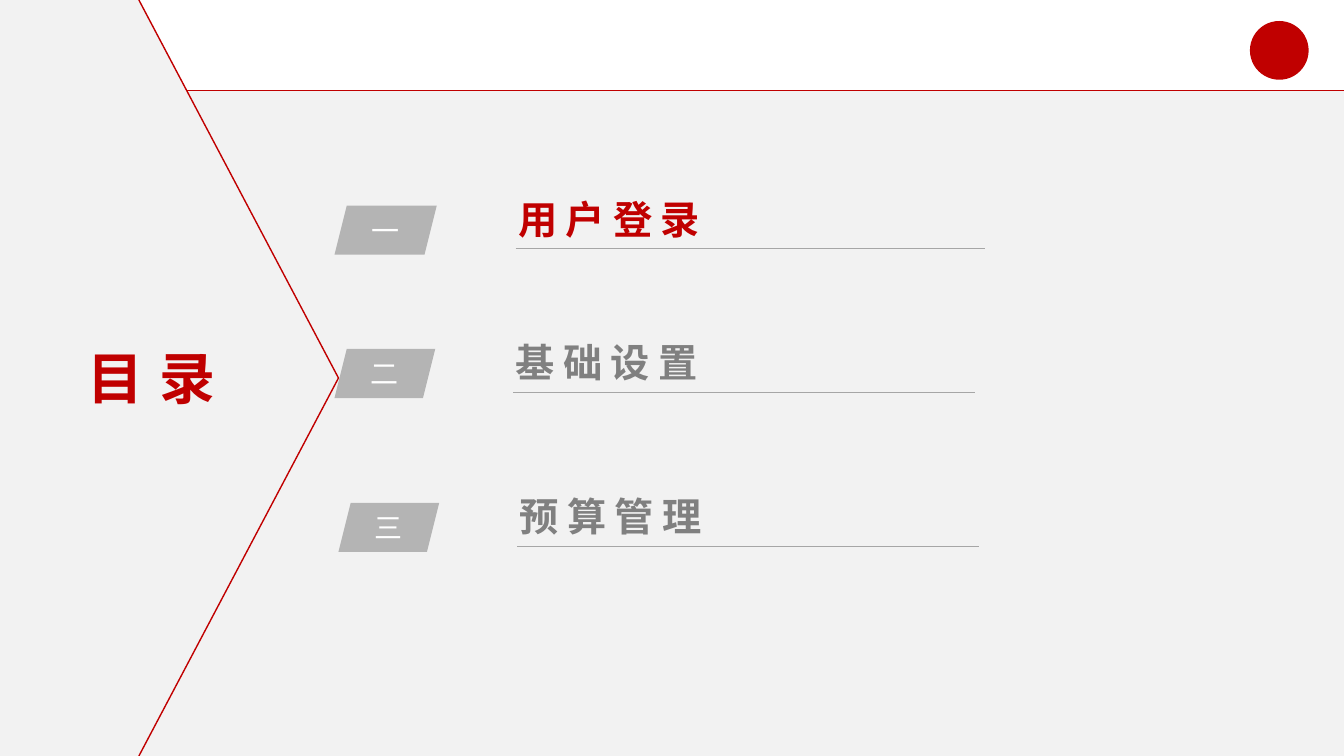
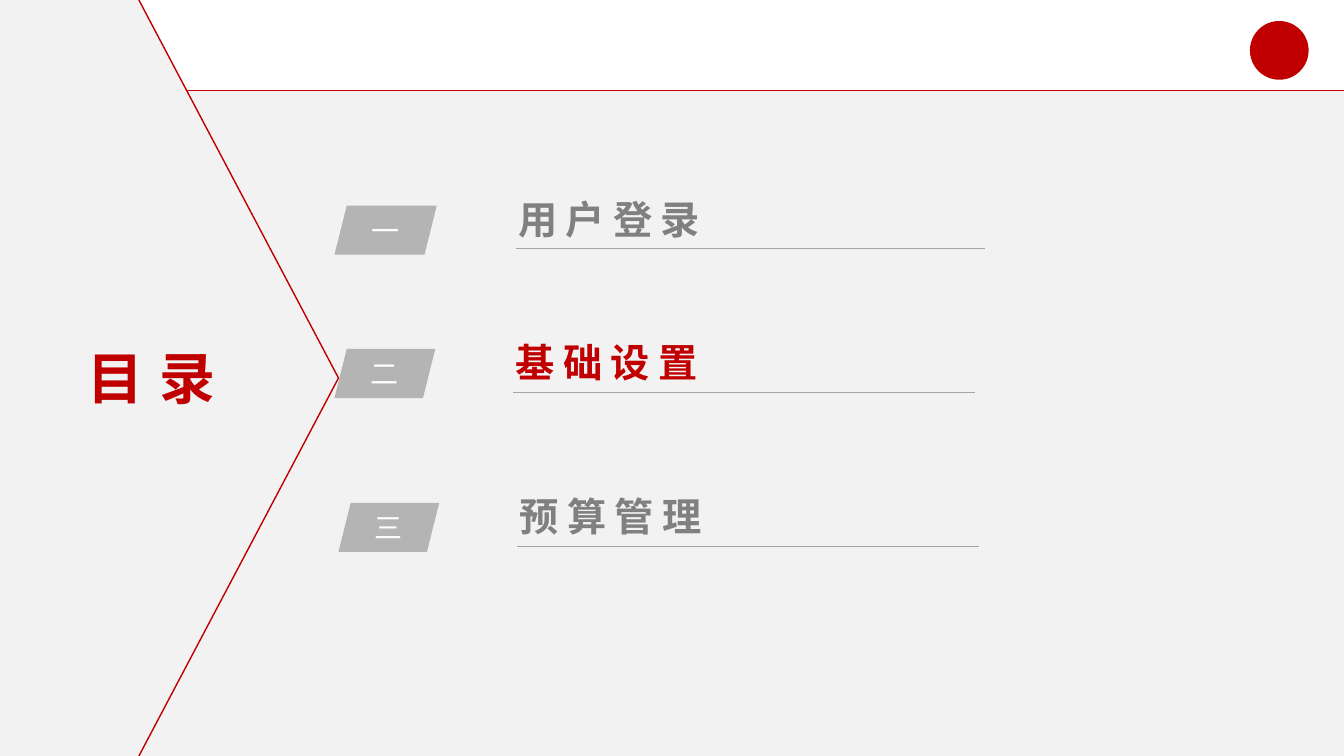
from dataclasses import dataclass

from lxml import etree
from pptx import Presentation
from pptx.dml.color import RGBColor
from pptx.enum.lang import MSO_LANGUAGE_ID
from pptx.enum.shapes import MSO_CONNECTOR, MSO_SHAPE
from pptx.enum.text import MSO_ANCHOR, PP_ALIGN
from pptx.oxml.ns import qn
from pptx.util import Cm, Pt

RED = RGBColor(0xC0, 0x00, 0x00)
PALE = RGBColor(0xF2, 0xF2, 0xF2)
BADGE_GRAY = RGBColor(0xB4, 0xB4, 0xB4)
RULE_GRAY = RGBColor(0xA6, 0xA6, 0xA6)
TEXT_GRAY = RGBColor(0x80, 0x80, 0x80)
WHITE = RGBColor(0xFF, 0xFF, 0xFF)

RECTANGLE = MSO_SHAPE.RECTANGLE
OVAL = MSO_SHAPE.OVAL
PARALLELOGRAM = MSO_SHAPE.PARALLELOGRAM
STRAIGHT = MSO_CONNECTOR.STRAIGHT
CENTER = PP_ALIGN.CENTER
LEFT = PP_ALIGN.LEFT
MIDDLE = MSO_ANCHOR.MIDDLE
CHINESE = MSO_LANGUAGE_ID.SIMPLIFIED_CHINESE

FONT = "Arial"
WIDTH, HEIGHT = 33.87, 19.05
HEADER_HEIGHT = 2.28
PANEL_EDGE, PANEL_TIP = 3.5, 8.53


@dataclass
class Entry:
    """One agenda row; lengths in centimetres, scale stretches it sideways."""
    number: str
    title: str
    left: float
    top: float
    title_width: float
    scale: float = 1.0


ENTRIES = [
    Entry("一", "用户登录", 8.43, 5.18, 21.06, 1.015),
    Entry("二", "基础设置", 8.43, 8.79, 16.89),
    Entry("三", "预算管理", 8.53, 12.67, 16.89),
]


class Deck:
    def __init__(self):
        self.presentation = Presentation()
        self.presentation.slide_width = Cm(WIDTH)
        self.presentation.slide_height = Cm(HEIGHT)
        self.slide = None

    def paint(self, shape, color):
        shape.shadow.inherit = False
        shape.fill.solid()
        shape.fill.fore_color.rgb = color
        shape.line.fill.background()

    def shape(self, kind, left, top, width, height, color):
        shape = self.slide.shapes.add_shape(
            kind, Cm(left), Cm(top), Cm(width), Cm(height))
        self.paint(shape, color)
        return shape

    def polygon(self, points, color):
        corners = [(Cm(x), Cm(y)) for x, y in points]
        builder = self.slide.shapes.build_freeform(*corners[0])
        builder.add_line_segments(corners[1:], close=True)
        self.paint(builder.convert_to_shape(), color)

    def line(self, start, end, color, weight):
        line = self.slide.shapes.add_connector(
            STRAIGHT, *(Cm(length) for length in (*start, *end)))
        line.line.color.rgb = color
        line.line.width = Pt(weight)
        etree.SubElement(line._element.spPr, qn("a:effectLst"))

    def set_text(self, text_frame, text, size, color, bold=False,
                 alignment=CENTER, spacing=0):
        """Set one styled paragraph; spacing is the letter gap in points."""
        text_frame.text = text
        paragraph = text_frame.paragraphs[0]
        paragraph.alignment = alignment
        font = paragraph.runs[0].font
        font.name = FONT
        font.size = Pt(size)
        font.bold = bold
        font.color.rgb = color
        font.language_id = CHINESE
        properties = font._element
        etree.SubElement(properties, qn("a:ea"), typeface=FONT)
        if spacing:
            properties.set("spc", str(spacing * 100))
        return paragraph

    def text_box(self, left, top, width, height, wrap=True):
        box = self.slide.shapes.add_textbox(
            Cm(left), Cm(top), Cm(width), Cm(height))
        box.text_frame.word_wrap = wrap
        return box.text_frame

    def background(self):
        self.shape(RECTANGLE, 0, HEADER_HEIGHT, WIDTH,
                   HEIGHT - HEADER_HEIGHT, PALE)
        self.line((0, HEADER_HEIGHT), (WIDTH, HEADER_HEIGHT), RED, 0.75)
        self.shape(OVAL, 31.5, 0.53, 1.48, 1.48, RED)

    def side_panel(self, title):
        upper, lower = (PANEL_EDGE, 0), (PANEL_EDGE, HEIGHT)
        tip = (PANEL_TIP, HEIGHT / 2)
        self.polygon([(0, 0), upper, tip, lower, (0, HEIGHT)], PALE)
        for corner in (upper, lower):
            self.line(corner, tip, RED, 1)
        frame = self.text_box(1.93, 8.53, 3.78, 1.96, wrap=False)
        self.set_text(frame, title, 40, RED, bold=True)

    def agenda_entry(self, entry, active):
        badge = self.shape(PARALLELOGRAM, entry.left, entry.top,
                           2.54 * entry.scale, 1.24, BADGE_GRAY)
        frame = badge.text_frame
        frame.margin_left = frame.margin_right = 0
        frame.margin_top = frame.margin_bottom = 0
        frame.vertical_anchor = MIDDLE
        self.set_text(frame, entry.number, 20, WHITE)

        frame = self.text_box(entry.left + 4.32 * entry.scale,
                              entry.top - 0.25, entry.title_width, 1.32)
        paragraph = self.set_text(frame, entry.title, 28,
                                  RED if active else TEXT_GRAY,
                                  bold=True, alignment=LEFT, spacing=6)
        paragraph.line_spacing = 0.9

        rule_left = entry.left + 4.5 * entry.scale
        rule_top = entry.top + 1.09
        self.line((rule_left, rule_top),
                  (rule_left + 11.64 * entry.scale, rule_top), RULE_GRAY, 0.5)

    def agenda_slide(self, active_entry):
        blank = self.presentation.slide_layouts[6]
        self.slide = self.presentation.slides.add_slide(blank)
        self.background()
        self.side_panel("目 录")
        for entry in ENTRIES:
            self.agenda_entry(entry, entry is active_entry)


def main():
    deck = Deck()
    for entry in ENTRIES[:2]:
        deck.agenda_slide(entry)
    deck.presentation.save("out.pptx")


if __name__ == "__main__":
    main()
